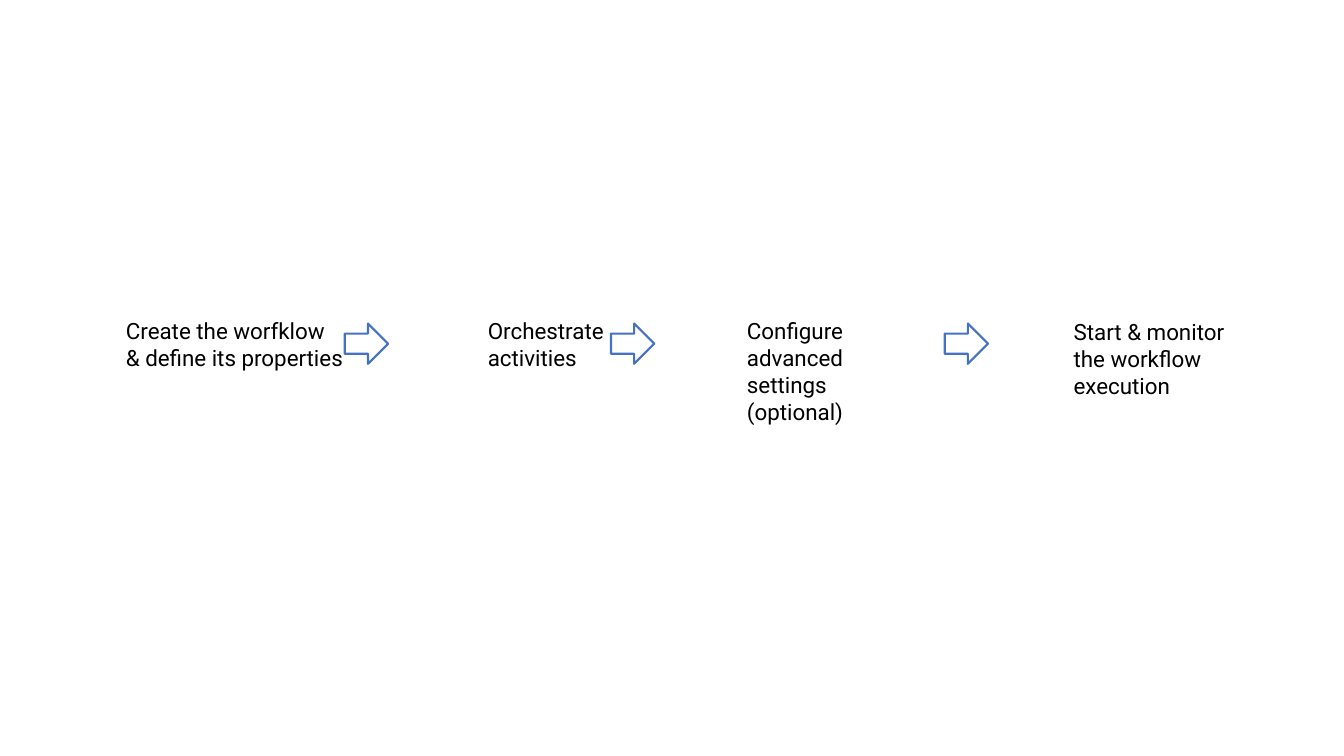
from dataclasses import dataclass

import pptx
import pptx.dml.color
import pptx.enum.shapes
import pptx.enum.text
import pptx.util
from pptx.util import Inches


@dataclass(frozen=True)
class Theme:
    font: str = "Roboto"
    text_size: int = 16
    line_width: float = 1.5
    text: str = "000000"
    arrow: str = "4472C4"


THEME = Theme()
STEPS = [
    (1.15, 3.1, 2.39, ["Create the worfklow", "& define its properties"]),
    (4.74, 3.1, 1.55, ["Orchestrate activities"]),
    (7.31, 3.1, 1.98, ["Configure advanced settings (optional)"]),
    (10.55, 3.11, 1.98, ["Start & monitor the workflow execution"]),
]
ARROW_LEFTS = [3.42, 6.06, 9.37]


def color(value):
    return pptx.dml.color.RGBColor.from_string(value)


def add_step(page, left, top, width, lines):
    box = page.shapes.add_textbox(Inches(left), Inches(top), Inches(width), Inches(0.64))
    frame = box.text_frame
    frame.word_wrap = True
    frame.auto_size = pptx.enum.text.MSO_AUTO_SIZE.SHAPE_TO_FIT_TEXT
    para = frame.paragraphs[0]
    for index, line in enumerate(lines):
        if index:
            para.add_line_break()
        span = para.add_run()
        span.text = line
        span.font.name = THEME.font
        span.font.size = pptx.util.Pt(THEME.text_size)
        span.font.color.rgb = color(THEME.text)


def add_arrow(page, left):
    arrow = page.shapes.add_shape(
        pptx.enum.shapes.MSO_SHAPE.RIGHT_ARROW,
        Inches(left), Inches(3.21), Inches(0.43), Inches(0.4),
    )
    arrow.shadow.inherit = False
    arrow.fill.background()
    arrow.line.color.rgb = color(THEME.arrow)
    arrow.line.width = pptx.util.Pt(THEME.line_width)


def main():
    deck = pptx.Presentation()
    deck.slide_width = Inches(13.33)
    deck.slide_height = Inches(7.5)
    page = deck.slides.add_slide(deck.slide_layouts[6])
    for step in STEPS:
        add_step(page, *step)
    for left in ARROW_LEFTS:
        add_arrow(page, left)
    deck.save("out.pptx")


if __name__ == "__main__":
    main()
